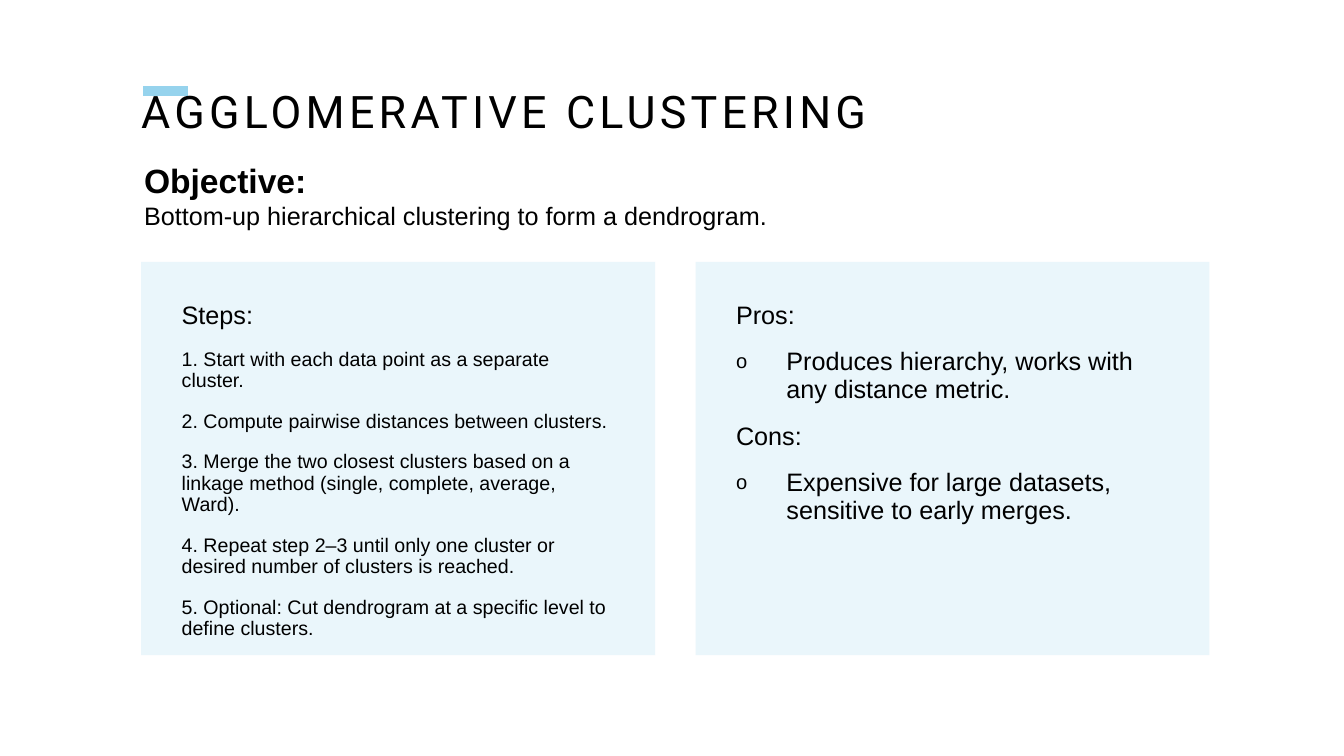
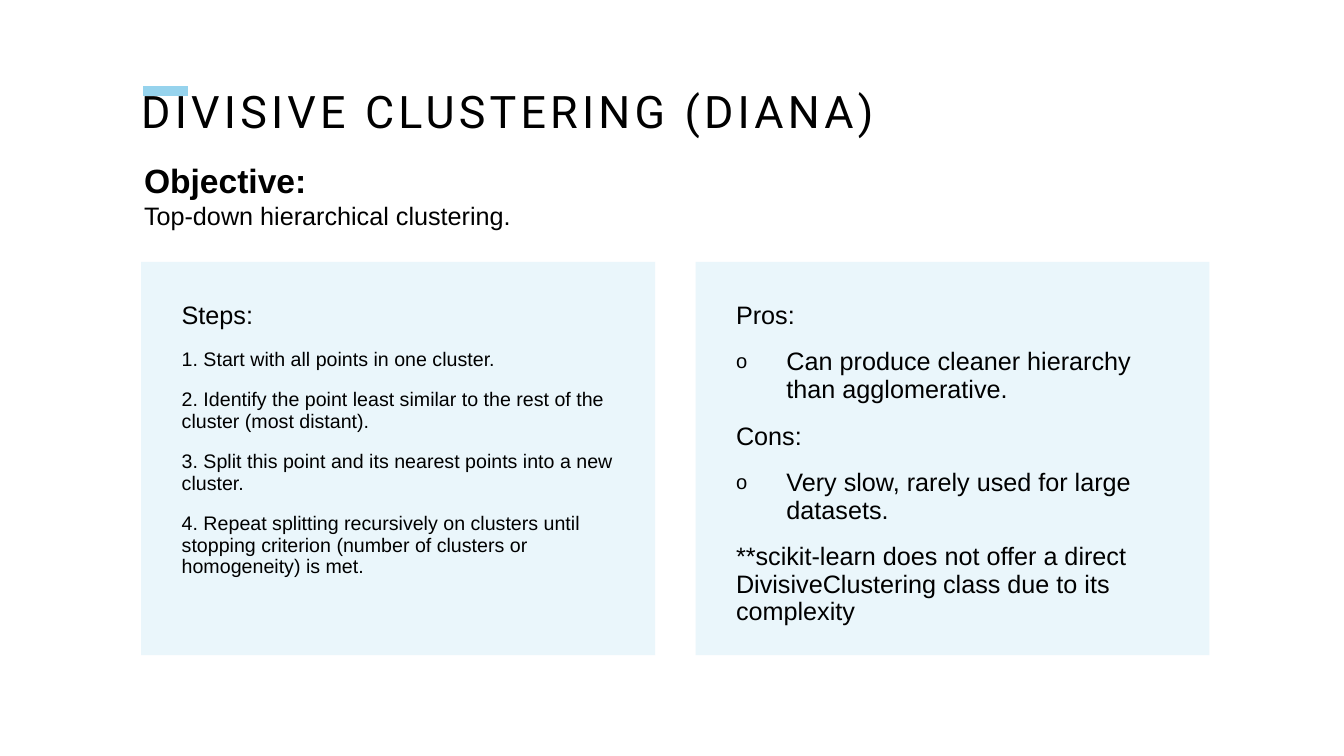
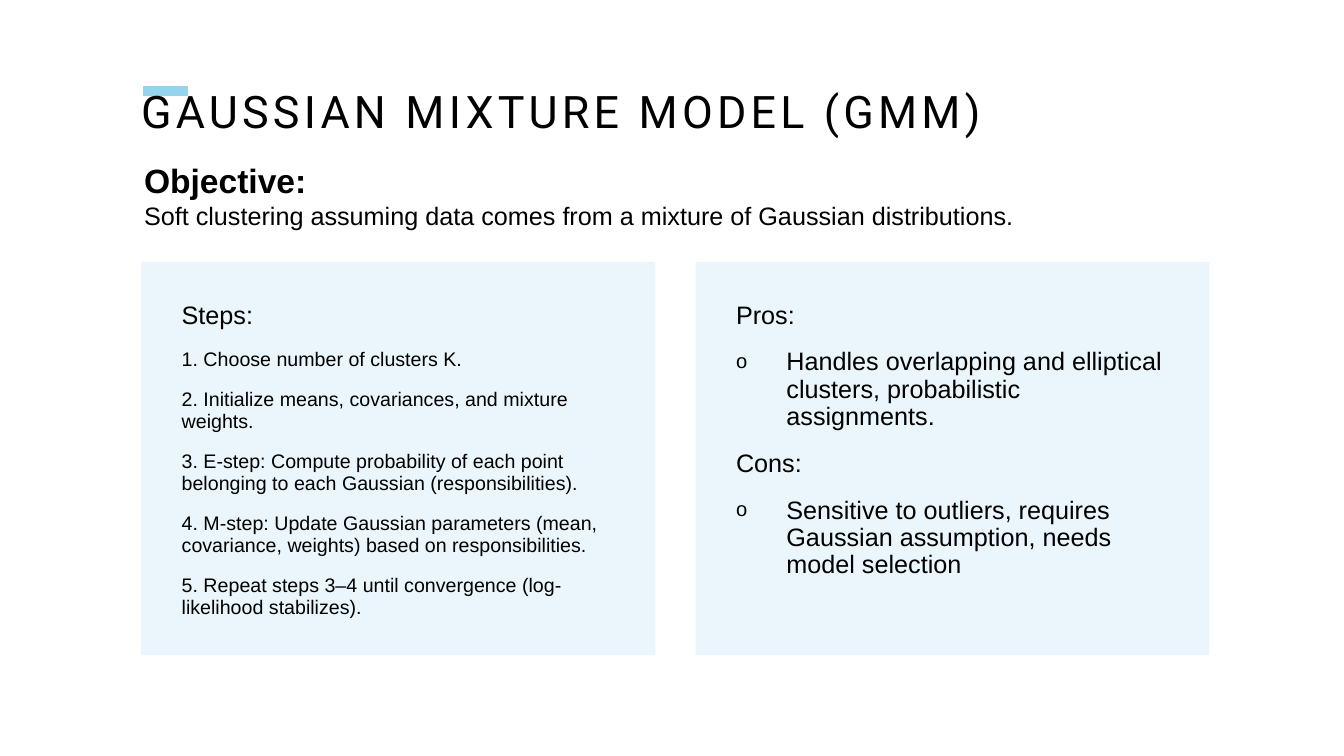
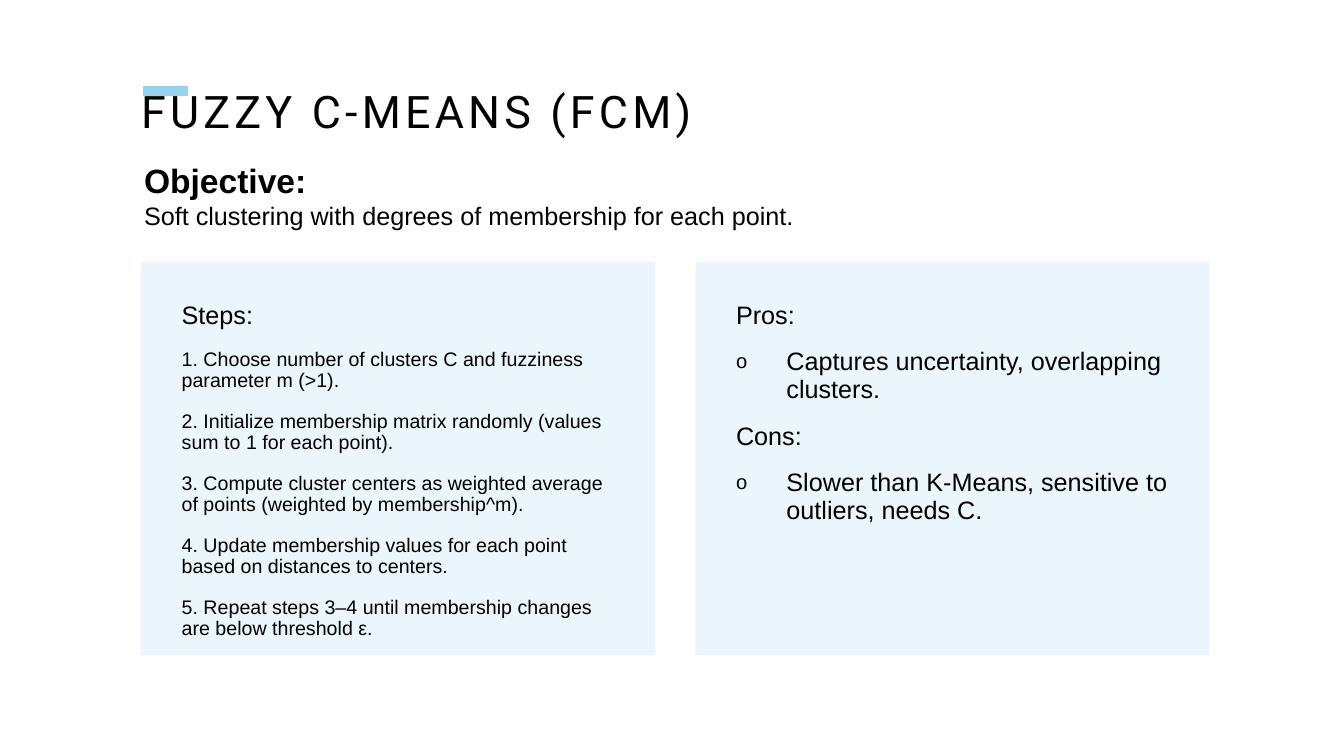
"""Build four slides that compare clustering methods by steps, pros and cons."""
from lxml.etree import SubElement
from pptx import Presentation
from pptx.dml.color import RGBColor
from pptx.enum.shapes import MSO_CONNECTOR, MSO_SHAPE
from pptx.enum.text import MSO_ANCHOR, PP_ALIGN
from pptx.oxml.ns import qn
from pptx.util import Cm, Pt

COLORS = {"text": "000000", "accent": "96D3ED", "panel": "EAF6FB"}
TITLE = {"name": "Roboto", "size": Pt(32), "bold": False}
OBJECTIVE_HEADING = {"name": "Arial", "size": Pt(24), "bold": True}
BODY = {"name": "Arial", "size": Pt(18), "bold": False}
STEP = {**BODY, "size": Pt(14)}

TITLE_SPACING = {"line_spacing": 0.9}
SINGLE_SPACING = {"line_spacing": 1.0}
PANEL_SPACING = {"line_spacing": 0.9, "space_before": Pt(14)}

PANEL_LEFT, PANEL_TOP = Cm(3.56), Cm(6.6)
PANEL_WIDTH, PANEL_HEIGHT = Cm(12.95), Cm(9.91)
PANEL_GAP = PANEL_INSET = Cm(1.02)
BULLET_INDENT = Cm(1.27)

METHODS = [
    {
        "title": "AGGLOMERATIVE CLUSTERING",
        "objective": "Bottom-up hierarchical clustering to form a dendrogram.",
        "steps": [
            "Start with each data point as a separate cluster.",
            "Compute pairwise distances between clusters.",
            "Merge the two closest clusters based on a linkage method (single, complete, average, Ward).",
            "Repeat step 2–3 until only one cluster or desired number of clusters is reached.",
            "Optional: Cut dendrogram at a specific level to define clusters.",
        ],
        "pros": "Produces hierarchy, works with any distance metric.",
        "cons": "Expensive for large datasets, sensitive to early merges.",
    },
    {
        "title": "DIVISIVE CLUSTERING (DIANA)",
        "objective": "Top-down hierarchical clustering.",
        "steps": [
            "Start with all points in one cluster.",
            "Identify the point least similar to the rest of the cluster (most distant).",
            "Split this point and its nearest points into a new cluster.",
            "Repeat splitting recursively on clusters until stopping criterion "
            "(number of clusters or homogeneity) is met.",
        ],
        "pros": "Can produce cleaner hierarchy than agglomerative.",
        "cons": "Very slow, rarely used for large datasets.",
        "remark": "**scikit-learn does not offer a direct DivisiveClustering class due to its complexity",
    },
    {
        "title": "GAUSSIAN MIXTURE MODEL (GMM)",
        "objective": "Soft clustering assuming data comes from a mixture of Gaussian distributions.",
        "steps": [
            "Choose number of clusters K.",
            "Initialize means, covariances, and mixture weights.",
            "E-step: Compute probability of each point belonging to each Gaussian (responsibilities).",
            "M-step: Update Gaussian parameters (mean, covariance, weights) based on responsibilities.",
            "Repeat steps 3–4 until convergence (log-likelihood stabilizes).",
        ],
        "pros": "Handles overlapping and elliptical clusters, probabilistic assignments.",
        "cons": "Sensitive to outliers, requires Gaussian assumption, needs model selection",
    },
    {
        "title": "FUZZY C-MEANS (FCM)",
        "objective": "Soft clustering with degrees of membership for each point.",
        "steps": [
            "Choose number of clusters C and fuzziness parameter m (>1).",
            "Initialize membership matrix randomly (values sum to 1 for each point).",
            "Compute cluster centers as weighted average of points (weighted by membership^m).",
            "Update membership values for each point based on distances to centers.",
            "Repeat steps 3–4 until membership changes are below threshold ε.",
        ],
        "pros": "Captures uncertainty, overlapping clusters.",
        "cons": "Slower than K-Means, sensitive to outliers, needs C.",
    },
]


def write_paragraphs(frame, lines, spacing):
    """Fill a text frame with (text, font values, bulleted) lines."""
    frame.word_wrap = True
    frame.vertical_anchor = MSO_ANCHOR.TOP
    for index, (text, font_values, bulleted) in enumerate(lines):
        paragraph = frame.add_paragraph() if index else frame.paragraphs[0]
        paragraph.alignment = PP_ALIGN.LEFT
        for attribute, value in spacing.items():
            setattr(paragraph, attribute, value)
        if index == 0:
            paragraph.space_before = Pt(0)
        if bulleted:
            properties = paragraph._p.get_or_add_pPr()
            properties.set("marL", str(BULLET_INDENT))
            properties.set("indent", str(-BULLET_INDENT))
            bullet_color = SubElement(properties, qn("a:buClr"))
            SubElement(bullet_color, qn("a:srgbClr"), val=COLORS["text"])
            SubElement(properties, qn("a:buSzPct"), val="80000")
            SubElement(properties, qn("a:buFont"), typeface="Arial")
            SubElement(properties, qn("a:buChar"), char="o")
        run = paragraph.add_run()
        run.text = text
        for attribute, value in font_values.items():
            setattr(run.font, attribute, value)
        run.font.color.rgb = RGBColor.from_string(COLORS["text"])


def set_insets(frame, inset):
    """Give a text frame the same inset on all four sides."""
    for side in ("left", "top", "right", "bottom"):
        setattr(frame, f"margin_{side}", inset)


deck = Presentation()
deck.slide_width, deck.slide_height = Cm(33.87), Cm(19.05)

for method in METHODS:
    slide = deck.slides.add_slide(deck.slide_layouts[6])

    accent = slide.shapes.add_connector(MSO_CONNECTOR.STRAIGHT, Cm(3.61), Cm(2.29), Cm(4.75), Cm(2.29))
    accent.line.color.rgb = RGBColor.from_string(COLORS["accent"])
    accent.line.width = Pt(7)
    SubElement(accent._element.spPr, qn("a:effectLst"))

    title = slide.shapes.add_textbox(PANEL_LEFT, Cm(2.26), Cm(27.28), Cm(1.65)).text_frame
    set_insets(title, 0)
    write_paragraphs(title, [(method["title"], TITLE, False)], TITLE_SPACING)
    title.paragraphs[0].runs[0]._r.get_or_add_rPr().set("spc", "300")

    steps = [("Steps:", BODY, False)]
    steps += [(f"{number}. {step}", STEP, False) for number, step in enumerate(method["steps"], 1)]
    verdict = [
        ("Pros:", BODY, False),
        (method["pros"], BODY, True),
        ("Cons:", BODY, False),
        (method["cons"], BODY, True),
    ]
    if "remark" in method:
        verdict.append((method["remark"], BODY, False))

    for column, lines in enumerate((steps, verdict)):
        left = PANEL_LEFT + column * (PANEL_WIDTH + PANEL_GAP)
        panel = slide.shapes.add_shape(MSO_SHAPE.RECTANGLE, left, PANEL_TOP, PANEL_WIDTH, PANEL_HEIGHT)
        panel.shadow.inherit = False
        panel.fill.solid()
        panel.fill.fore_color.rgb = RGBColor.from_string(COLORS["panel"])
        panel.line.fill.background()
        set_insets(panel.text_frame, PANEL_INSET)
        write_paragraphs(panel.text_frame, lines, PANEL_SPACING)

    objective = slide.shapes.add_textbox(Cm(3.38), Cm(3.91), Cm(24.18), Cm(2.06)).text_frame
    objective_lines = [("Objective:", OBJECTIVE_HEADING, False), (method["objective"], BODY, False)]
    write_paragraphs(objective, objective_lines, SINGLE_SPACING)

deck.save("out.pptx")
